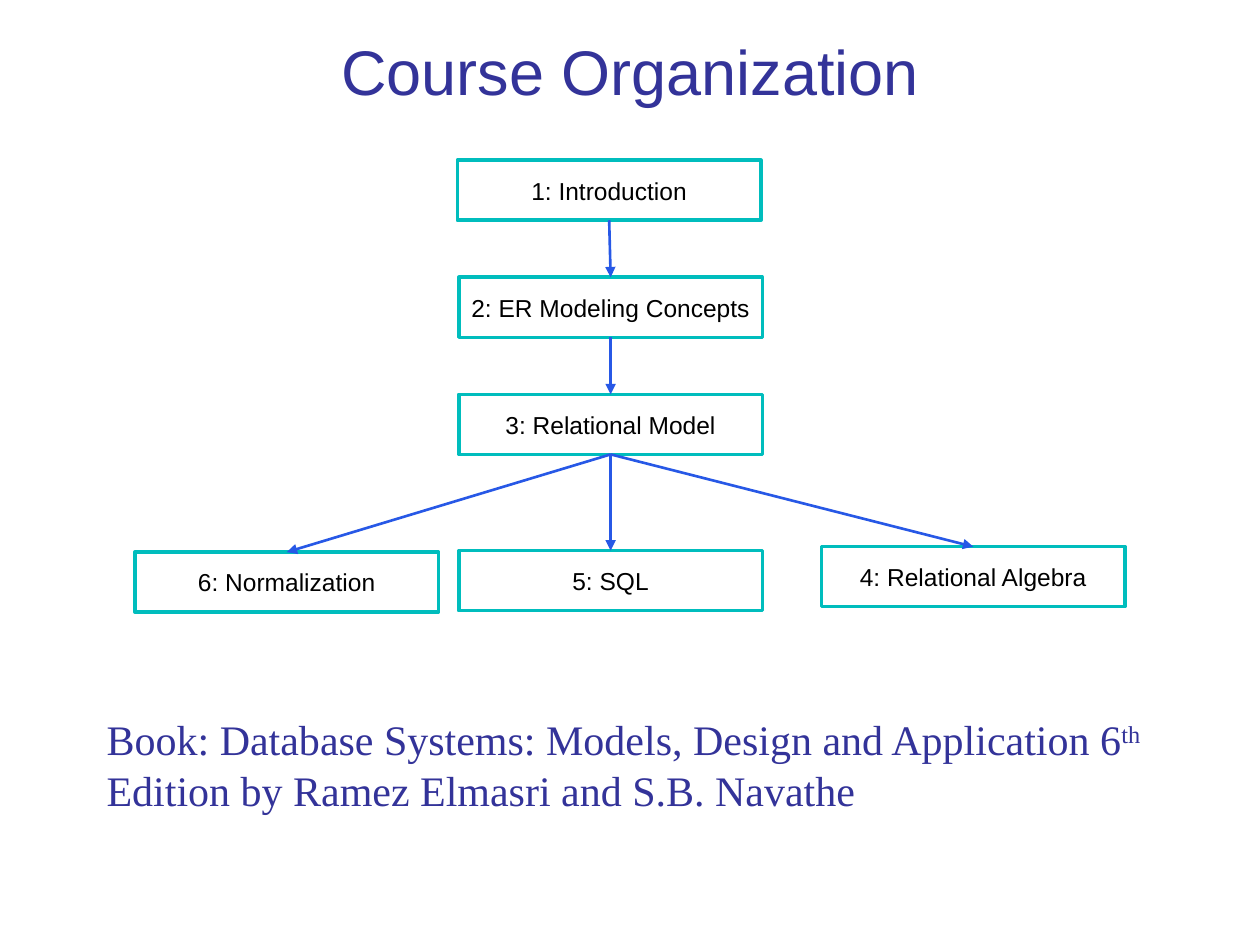
"""Build the course organization slide: a topic flow chart and the textbook."""
import pptx
import pptx.util
import pptx.dml.color
import pptx.enum.shapes
import pptx.enum.text
import pptx.oxml
import pptx.oxml.ns
from dataclasses import dataclass

Cm = pptx.util.Cm
Pt = pptx.util.Pt
RGB = pptx.dml.color.RGBColor.from_string
ALIGN = pptx.enum.text.PP_ALIGN


@dataclass(frozen=True)
class Theme:
    heading: str = "333399"
    text: str = "000000"
    border: str = "00BDBD"
    arrow: str = "2758E6"
    sans: str = "Arial"
    serif: str = "Times New Roman"
    title_size: int = 36
    book_size: int = 24
    box_size: int = 14
    border_width: float = 2
    arrow_width: float = 1.5


THEME = Theme()
TITLE = "Course Organization"
BOOK = [
    ("Book: Database Systems: Models, Design and Application 6", False),
    ("th", True),
    (" Edition by Ramez Elmasri and S.B. Navathe", False),
]
TOPICS = {
    1: ("Introduction", 9.22, 3.23),
    2: ("ER Modeling Concepts", 9.25, 5.59),
    3: ("Relational Model", 9.25, 7.95),
    4: ("Relational Algebra", 16.56, 11.02),
    5: ("SQL", 9.25, 11.1),
    6: ("Normalization", 2.72, 11.13),
}
ARROWS = [(1, 2), (2, 3), (3, 5), (3, 6), (3, 4)]
BOX_W, BOX_H = 6.12, 1.21
TEXT_X, TEXT_W = 1.9, 21.6
BOTTOM, TOP = 2, 0


def write(sp, runs, *, font, size, color, align=ALIGN.CENTER, inset=0.0):
    tf = sp.text_frame
    tf.word_wrap = True
    tf.vertical_anchor = pptx.enum.text.MSO_ANCHOR.MIDDLE
    tf.margin_left = tf.margin_right = Cm(inset)
    tf.margin_top = tf.margin_bottom = Cm(inset / 2)
    p = tf.paragraphs[0]
    p.alignment = align
    for text, raised in runs:
        r = p.add_run()
        r.text = text
        r.font.name = font
        r.font.size = Pt(size)
        r.font.color.rgb = RGB(color)
        if raised:
            r._r.get_or_add_rPr().set("baseline", "30000")


def add_text(s, top, height, runs, **style):
    sp = s.shapes.add_textbox(Cm(TEXT_X), Cm(top), Cm(TEXT_W), Cm(height))
    write(sp, runs, color=THEME.heading, inset=0.25, **style)


def add_topic(s, number, name, left, top):
    sp = s.shapes.add_shape(
        pptx.enum.shapes.MSO_SHAPE.FLOWCHART_PROCESS,
        Cm(left), Cm(top), Cm(BOX_W), Cm(BOX_H))
    sp.shadow.inherit = False
    sp.fill.background()
    sp.line.color.rgb = RGB(THEME.border)
    sp.line.width = Pt(THEME.border_width)
    write(sp, [(f"{number}: {name}", False)], font=THEME.sans,
          size=THEME.box_size, color=THEME.text)
    return sp


def add_arrow(s, start, end):
    line = s.shapes.add_connector(
        pptx.enum.shapes.MSO_CONNECTOR.STRAIGHT, 0, 0, 0, 0)
    line.begin_connect(start, BOTTOM)
    line.end_connect(end, TOP)
    line.line.color.rgb = RGB(THEME.arrow)
    line.line.width = Pt(THEME.arrow_width)
    ln = line.line._get_or_add_ln()
    ln.append(pptx.oxml.parse_xml(
        f'<a:tailEnd {pptx.oxml.ns.nsdecls("a")} type="triangle"/>'))
    ln.getparent().append(pptx.oxml.parse_xml(
        f'<a:effectLst {pptx.oxml.ns.nsdecls("a")}/>'))


def main():
    prs = pptx.Presentation()
    prs.slide_width, prs.slide_height = Cm(25.4), Cm(19.05)
    s = prs.slides.add_slide(prs.slide_layouts[6])
    add_text(s, 0.18, 2.46, [(TITLE, False)],
             font=THEME.sans, size=THEME.title_size)
    boxes = {n: add_topic(s, n, *topic) for n, topic in TOPICS.items()}
    for start, end in ARROWS:
        add_arrow(s, boxes[start], boxes[end])
    add_text(s, 14.48, 1.85, BOOK, font=THEME.serif,
             size=THEME.book_size, align=ALIGN.LEFT)
    prs.save("out.pptx")


if __name__ == "__main__":
    main()
